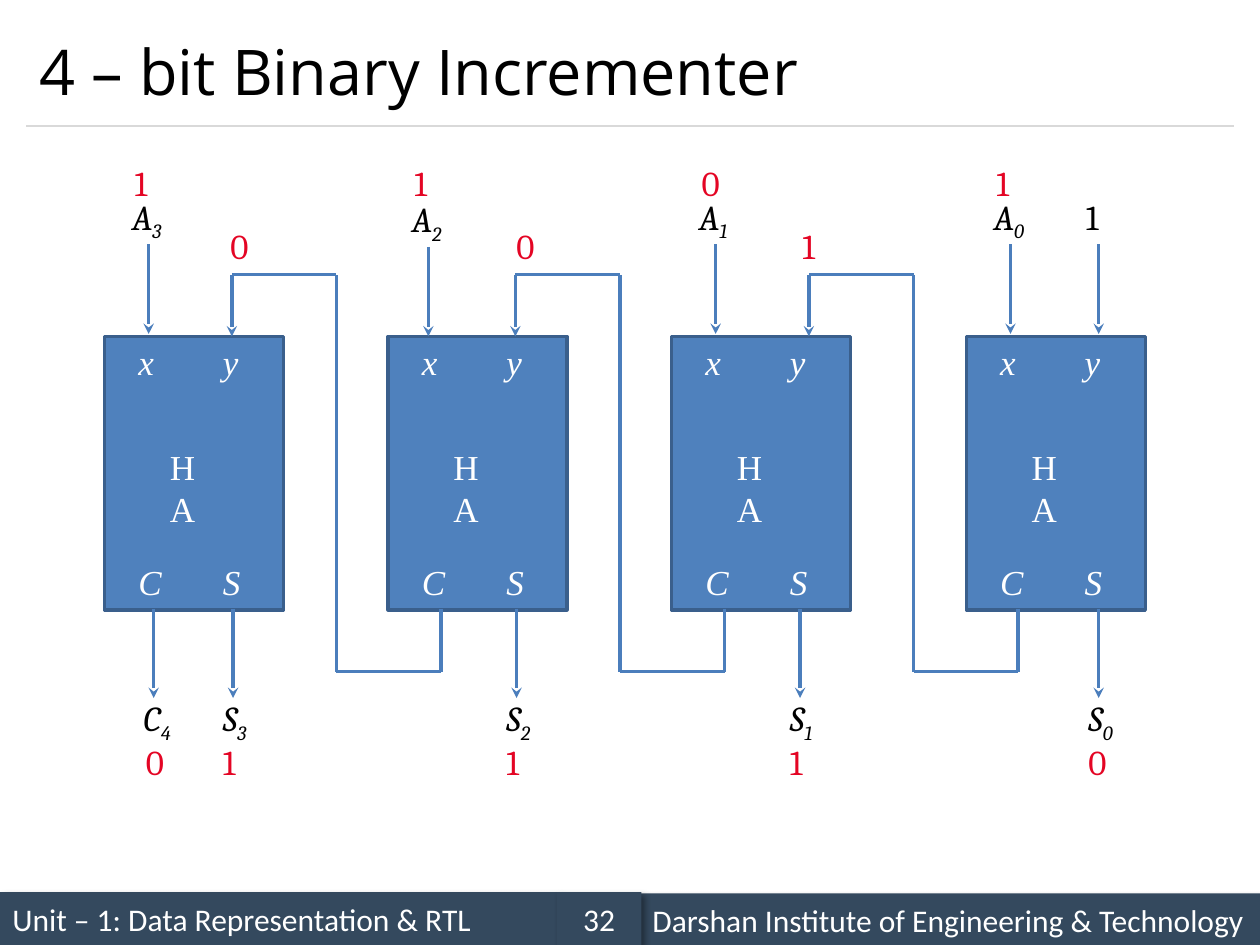
from dataclasses import dataclass
from itertools import pairwise

from lxml import etree
from pptx import Presentation
from pptx.dml.color import RGBColor
from pptx.enum.shapes import MSO_CONNECTOR, MSO_SHAPE
from pptx.enum.text import MSO_ANCHOR, MSO_AUTO_SIZE, PP_ALIGN
from pptx.oxml import parse_xml
from pptx.oxml.ns import qn
from pptx.util import Inches, Pt

STRAIGHT = MSO_CONNECTOR.STRAIGHT
RECTANGLE = MSO_SHAPE.RECTANGLE
MIDDLE = MSO_ANCHOR.MIDDLE
LEFT, CENTER = PP_ALIGN.LEFT, PP_ALIGN.CENTER
NO_AUTOFIT = MSO_AUTO_SIZE.NONE

COLORS = {
    "black": "000000", "white": "FFFFFF", "value": "E40524", "wire": "4B7EBC",
    "adder": "4F81BD", "adder_edge": "3A5F8C", "footer": "34495E", "rule": "D9D9D9",
}

ADDER_TOP, ADDER_WIDTH, ADDER_HEIGHT = 2.67, 1.42, 2.17
ADDER_BOTTOM = 4.83
INPUT_LENGTH = 0.71
OUTPUT_END = 5.54
LABEL_HEIGHT = 0.44

FOOTER_SHADOW = (
    '<a:effectLst xmlns:a="http://schemas.openxmlformats.org/drawingml/2006/main">'
    '<a:outerShdw blurRad="50800" dist="38100" dir="2700000" algn="tl" rotWithShape="0">'
    '<a:srgbClr val="000000"><a:alpha val="40000"/></a:srgbClr>'
    "</a:outerShdw></a:effectLst>"
)


@dataclass(frozen=True)
class HalfAdder:
    bit: int
    left: float
    input_x: float
    sum_x: float
    input_value: str
    sum_value: str
    input_top: float = 1.94


@dataclass(frozen=True)
class Carry:
    start_x: float
    value: str
    value_left: float


@dataclass(frozen=True)
class FooterPart:
    left: float
    top: float
    width: float
    text: str
    align: PP_ALIGN = LEFT


ADDERS = (
    HalfAdder(0, 7.67, 8.02, 8.72, "1", "0"),
    HalfAdder(1, 5.33, 5.68, 6.35, "0", "1"),
    HalfAdder(2, 3.08, 3.40, 4.10, "1", "1", input_top=1.96),
    HalfAdder(3, 0.83, 1.18, 1.85, "1", "1"),
)
CARRIES = (Carry(8.08, "1", 6.27), Carry(5.75, "0", 4.0), Carry(3.5, "0", 1.73))
PINS = (("x", 0.17, 2.65), ("y", 0.84, 2.65), ("C", 0.17, 4.4), ("S", 0.84, 4.4))
FOOTER = (
    FooterPart(0, 7.08, 4.42, "Unit – 1: Data Representation & RTL"),
    FooterPart(5.08, 7.09, 4.92, "Darshan Institute of Engineering & Technology"),
    FooterPart(4.42, 7.08, 0.67, "32", CENTER),
)


def rgb(name: str) -> RGBColor:
    return RGBColor.from_string(COLORS[name])


def write(frame, text: str, *, font: str, size: float = 20, color: str = "black",
          italic: bool = False, subscript: str = "", align: PP_ALIGN = LEFT) -> None:
    frame.word_wrap = True
    paragraph = frame.paragraphs[0]
    paragraph.alignment = align
    for part in filter(None, (text, subscript)):
        run = paragraph.add_run()
        run.text = part
        run.font.name = font
        run.font.size = Pt(size)
        run.font.italic = italic
        run.font.color.rgb = rgb(color)
    if subscript:
        run.font._element.set("baseline", "-25000")


def add_label(slide, text: str, left: float, top: float, width: float = 0.46,
              **text_format) -> None:
    box = slide.shapes.add_textbox(
        Inches(left), Inches(top), Inches(width), Inches(LABEL_HEIGHT))
    write(box.text_frame, text, **{"font": "Cambria", **text_format})


def add_value(slide, text: str, left: float, top: float) -> None:
    add_label(slide, text, left, top, 0.36, color="value")


def add_line(slide, start: tuple[float, float], end: tuple[float, float],
             color: str = "wire", width: float = 2, arrow: bool = False) -> None:
    line = slide.shapes.add_connector(
        STRAIGHT, *(Inches(length) for length in (*start, *end)))
    line.line.color.rgb = rgb(color)
    line.line.width = Pt(width)
    if arrow:
        etree.SubElement(line.line._get_or_add_ln(), qn("a:tailEnd"), type="stealth")
    etree.SubElement(line._element.spPr, qn("a:effectLst"))


def add_block(slide, left: float, top: float, width: float, height: float, fill: str):
    block = slide.shapes.add_shape(
        RECTANGLE, Inches(left), Inches(top), Inches(width), Inches(height))
    block.fill.solid()
    block.fill.fore_color.rgb = rgb(fill)
    block.shadow.inherit = False
    return block


def add_footer_part(slide, part: FooterPart) -> None:
    block = add_block(slide, part.left, part.top, part.width, 0.42, "footer")
    block.line.fill.background()
    properties = block._element.spPr
    properties.replace(properties.find(qn("a:effectLst")), parse_xml(FOOTER_SHADOW))
    block.text_frame.vertical_anchor = MIDDLE
    write(block.text_frame, part.text, font="Calibri", size=18, color="white",
          align=part.align)


def add_input(slide, x: float, top: float) -> None:
    add_line(slide, (x, top), (x, top + INPUT_LENGTH), arrow=True)


def add_output(slide, symbol: str, index: int, value: str, x: float,
               value_shift: float = 0) -> None:
    left = x - 0.18
    add_line(slide, (x, ADDER_BOTTOM), (x, OUTPUT_END), arrow=True)
    add_label(slide, symbol, left, 5.48, italic=True, subscript=str(index))
    add_value(slide, value, left + value_shift, 5.83)


def add_half_adder(slide, adder: HalfAdder) -> None:
    block = add_block(slide, adder.left, ADDER_TOP, ADDER_WIDTH, ADDER_HEIGHT, "adder")
    block.line.color.rgb = rgb("adder_edge")
    block.line.width = Pt(2)
    inside = {"font": "Times New Roman", "color": "white"}
    for pin, offset, top in PINS:
        add_label(slide, pin, adder.left + offset, top, 0.36, italic=True, **inside)
    add_label(slide, "HA", adder.left + 0.42, 3.49, 0.57, **inside)

    add_input(slide, adder.input_x, adder.input_top)
    add_label(slide, "A", adder.input_x - 0.23, adder.input_top - LABEL_HEIGHT,
              italic=True, subscript=str(adder.bit))
    add_value(slide, adder.input_value, adder.input_x - 0.21, 1.23)
    add_output(slide, "S", adder.bit, adder.sum_value, adder.sum_x)


def add_carry(slide, carry: Carry) -> None:
    middle_x, end_x = carry.start_x - 0.83, carry.start_x - 1.66
    route = ((carry.start_x, ADDER_BOTTOM), (carry.start_x, 5.33), (middle_x, 5.33),
             (middle_x, 2.18), (end_x, 2.18), (end_x, ADDER_TOP))
    for start, end in pairwise(route):
        add_line(slide, start, end, arrow=end == route[-1])
    add_value(slide, carry.value, carry.value_left, 1.73)


def main() -> None:
    presentation = Presentation()
    presentation.slide_width, presentation.slide_height = Inches(10), Inches(7.5)
    slide = presentation.slides.add_slide(presentation.slide_layouts[5])

    title = slide.shapes.title
    title.left, title.top = Inches(0.21), Inches(0.12)
    title.width, title.height = Inches(9.58), Inches(0.88)
    title.text_frame.auto_size = NO_AUTOFIT
    title.text_frame.vertical_anchor = MIDDLE
    write(title.text_frame, "4 – bit Binary Incrementer", font="Open Sans", size=36)
    add_line(slide, (0.21, 1), (9.79, 1), color="rule", width=0.75)

    for part in FOOTER:
        add_footer_part(slide, part)
    for adder in ADDERS:
        add_half_adder(slide, adder)
    for carry in CARRIES:
        add_carry(slide, carry)

    add_input(slide, 8.72, 1.94)
    add_label(slide, "1", 8.52, 1.5, 0.39)
    add_output(slide, "C", 4, "0", 1.22, value_shift=0.02)

    presentation.save("out.pptx")


if __name__ == "__main__":
    main()
